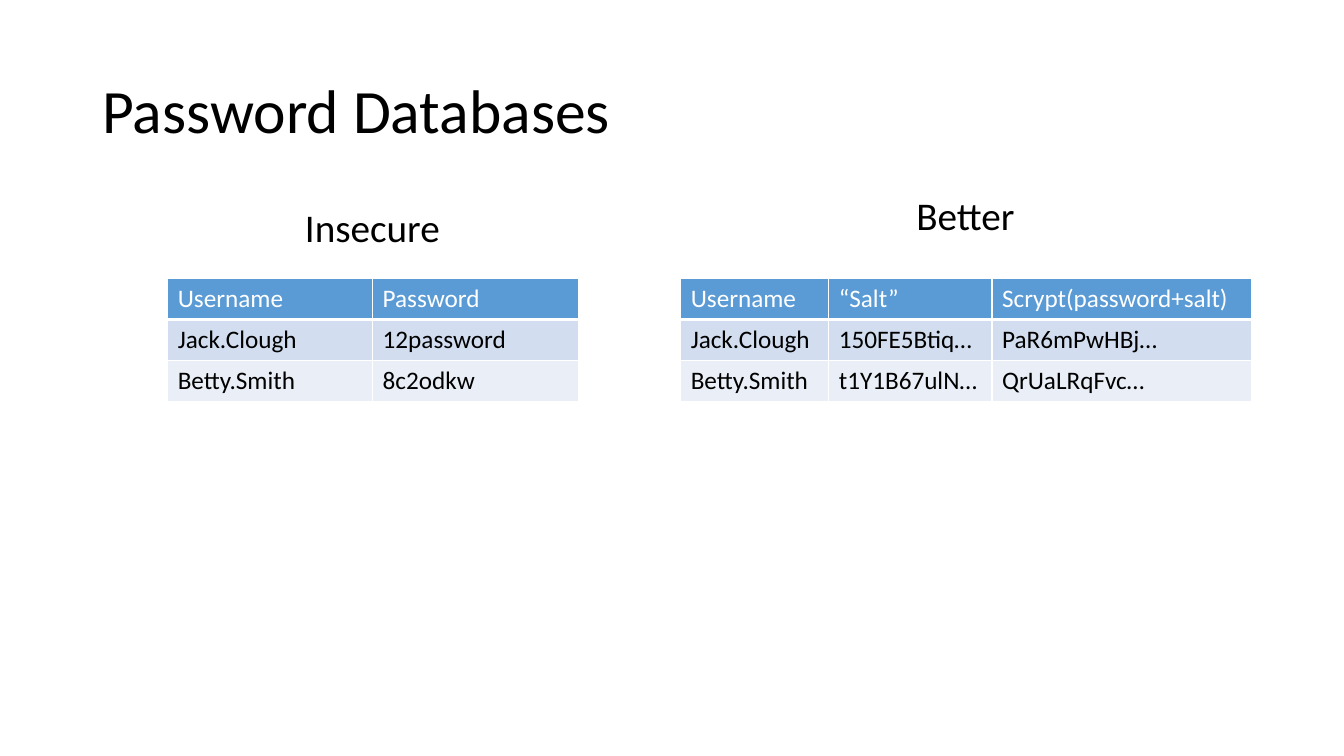
from lxml.etree import SubElement
from pptx import Presentation
from pptx.dml.color import RGBColor as RGB
from pptx.enum.text import MSO_ANCHOR as ANCHOR, PP_ALIGN as ALIGN
from pptx.oxml.ns import qn
from pptx.util import Pt

COLORS = {
    "text": "000000",
    "white": "FFFFFF",
    "header": "5B9BD5",
    "band_dark": "D2DEEF",
    "band_light": "EAEFF7",
}
ROW_FILLS = ["header", "band_dark", "band_light"]
FONT = "Calibri"
ROW_H = 29.2

INSECURE = [
    ["Username", "Password"],
    ["Jack.Clough", "12password"],
    ["Betty.Smith", "8c2odkw"],
]
BETTER = [
    ["Username", "“Salt”", "Scrypt(password+salt)"],
    ["Jack.Clough", "150FE5Btiq…", "PaR6mPwHBj…"],
    ["Betty.Smith", "t1Y1B67ulN…", "QrUaLRqFvc…"],
]


def write(tf, text, size=18, color="text", align=ALIGN.LEFT, spacing=None):
    p = tf.paragraphs[0]
    p.alignment = align
    p.line_spacing = spacing
    r = p.add_run()
    r.text = text
    r.font.name = FONT
    r.font.size = Pt(size)
    r.font.bold = False
    r.font.color.rgb = RGB.from_string(COLORS[color])


def add_text(slide, text, box, anchor=ANCHOR.TOP, **fmt):
    tf = slide.shapes.add_textbox(*map(Pt, box)).text_frame
    tf.word_wrap = True
    tf.vertical_anchor = anchor
    write(tf, text, **fmt)


def set_borders(cell, bottom):
    tc_pr = cell._tc.get_or_add_tcPr()
    for side, width in [("L", 1), ("R", 1), ("T", 1), ("B", bottom)]:
        ln = SubElement(tc_pr, qn(f"a:ln{side}"), w=str(Pt(width)))
        fill = SubElement(ln, qn("a:solidFill"))
        SubElement(fill, qn("a:srgbClr"), val=COLORS["white"])


def add_password_table(slide, rows, left, top, widths):
    box = left, top, sum(widths), ROW_H * len(rows)
    table = slide.shapes.add_table(len(rows), len(widths), *map(Pt, box)).table
    table.first_row = table.horz_banding = False
    for col, width in zip(table.columns, widths):
        col.width = Pt(width)
    for i, (row, fill) in enumerate(zip(rows, ROW_FILLS)):
        for j, text in enumerate(row):
            cell = table.cell(i, j)
            set_borders(cell, bottom=1 if i else 3)
            cell.fill.solid()
            cell.fill.fore_color.rgb = RGB.from_string(COLORS[fill])
            write(cell.text_frame, text, color="text" if i else "white")


def add_database(slide, heading, rows, box, table_left, table_top, widths):
    left, top, width, _ = box
    add_text(slide, heading, box, size=28, align=ALIGN.CENTER)
    add_password_table(slide, rows, left + table_left, top + table_top, widths)


def main():
    prs = Presentation()
    prs.slide_width, prs.slide_height = Pt(960), Pt(540)
    slide = prs.slides.add_slide(prs.slide_layouts[6])
    add_text(slide, "Password Databases", (66, 28.75, 828, 104.4),
             anchor=ANCHOR.MIDDLE, size=44, spacing=0.9)
    add_database(slide, "Insecure", INSECURE, (66, 141.8, 400, 41.2),
                 53.8, 57.2, [146.4, 147.4])
    add_database(slide, "Better", BETTER, (489.6, 133.2, 400, 41.2),
                 -3.4, 65.8, [105.8, 116.6, 185.8])
    prs.save("out.pptx")


if __name__ == "__main__":
    main()
